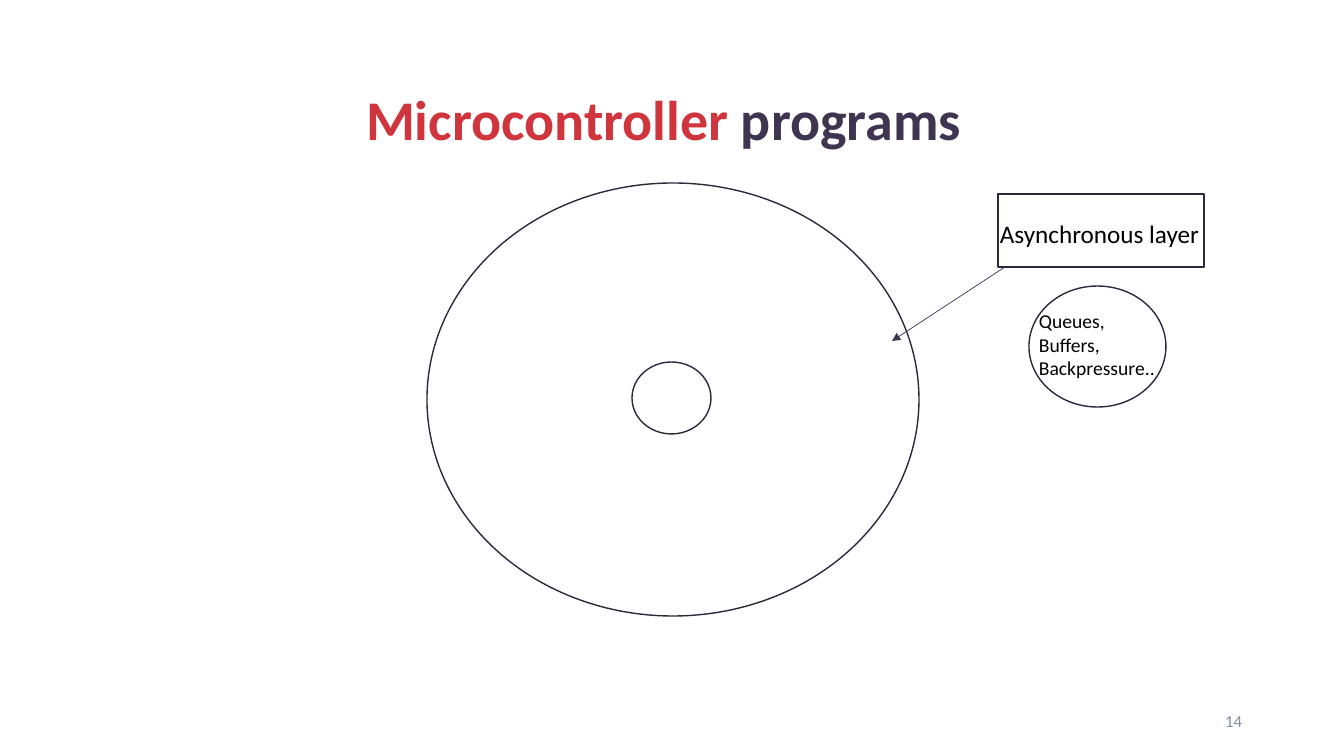
"""Build the slide on the layers of microcontroller programs."""
from lxml.etree import SubElement
from pptx import Presentation
from pptx.dml.color import RGBColor
from pptx.enum.shapes import MSO_CONNECTOR, MSO_SHAPE
from pptx.enum.text import MSO_ANCHOR, MSO_AUTO_SIZE, PP_ALIGN
from pptx.oxml.ns import qn
from pptx.util import Emu, Pt

EMU_PER_PX = 12192000 / 1344
FONT = "Calibri"
RED = RGBColor(0xD0, 0x34, 0x3C)
PURPLE = RGBColor(0x40, 0x35, 0x51)
OUTLINE = RGBColor(0x2F, 0x27, 0x3C)
GREY = RGBColor(0x84, 0x8B, 0x98)
BLACK = RGBColor(0, 0, 0)


def px(*lengths):
    return [Emu(round(length * EMU_PER_PX)) for length in lengths]


def add_run(paragraph, text, size, color, bold=False):
    run = paragraph.add_run()
    run.text = text
    run.font.name = FONT
    run.font.size = Pt(size)
    run.font.bold = bold
    run.font.color.rgb = color


def set_title(slide, box, parts):
    title = slide.shapes.title
    title.left, title.top, title.width, title.height = px(*box)
    frame = title.text_frame
    frame.auto_size = MSO_AUTO_SIZE.NONE
    frame.vertical_anchor = MSO_ANCHOR.MIDDLE
    paragraph = frame.paragraphs[0]
    paragraph.alignment = PP_ALIGN.LEFT
    paragraph.line_spacing = 0.9
    for text, color in parts:
        add_run(paragraph, text, 40, color, bold=True)


def add_outline(slide, preset, box):
    outline = slide.shapes.add_shape(preset, *px(*box))
    outline.shadow.inherit = False
    outline.fill.background()
    outline.line.color.rgb = OUTLINE
    outline.line.width = Pt(1)


def add_arrow(slide, start, end):
    arrow = slide.shapes.add_connector(MSO_CONNECTOR.STRAIGHT, *px(*start, *end))
    arrow.line.color.rgb = PURPLE
    arrow.line.width = Pt(0.5)
    SubElement(arrow.line._get_or_add_ln(), qn("a:tailEnd"), type="triangle")
    SubElement(arrow._element.spPr, qn("a:effectLst"))


def add_label(slide, box, lines, size, color=BLACK):
    frame = slide.shapes.add_textbox(*px(*box)).text_frame
    frame.word_wrap = False
    paragraph = frame.paragraphs[0]
    for index, line in enumerate(lines):
        if index:
            paragraph.add_line_break()
        add_run(paragraph, line, size, color)
    return frame


def add_page_number(slide, box, number):
    frame = add_label(slide, box, [number], 12, GREY)
    frame.word_wrap = True
    frame.vertical_anchor = MSO_ANCHOR.MIDDLE
    frame.paragraphs[0].alignment = PP_ALIGN.RIGHT


def main():
    prs = Presentation()
    prs.slide_width, prs.slide_height = px(1344, 756)
    slide = prs.slides.add_slide(prs.slide_layouts[5])

    set_title(slide, (356, 11, 627, 222),
              [("Microcontroller ", RED), ("programs", PURPLE)])
    add_page_number(slide, (950, 701, 302, 40), "14")

    add_outline(slide, MSO_SHAPE.OVAL, (632, 362, 79, 72))
    add_outline(slide, MSO_SHAPE.OVAL, (427, 183, 492, 433))

    add_arrow(slide, (1005, 267), (892, 341))
    add_outline(slide, MSO_SHAPE.RECTANGLE, (998, 194, 206, 73))
    add_label(slide, (990, 213, 222, 40), ["Asynchronous layer"], 18)

    add_outline(slide, MSO_SHAPE.OVAL, (1029, 286, 137, 121))
    add_label(slide, (1029, 304, 137, 82),
              ["Queues,", "Buffers,", "Backpressure.."], 14)

    prs.save("out.pptx")


if __name__ == "__main__":
    main()
